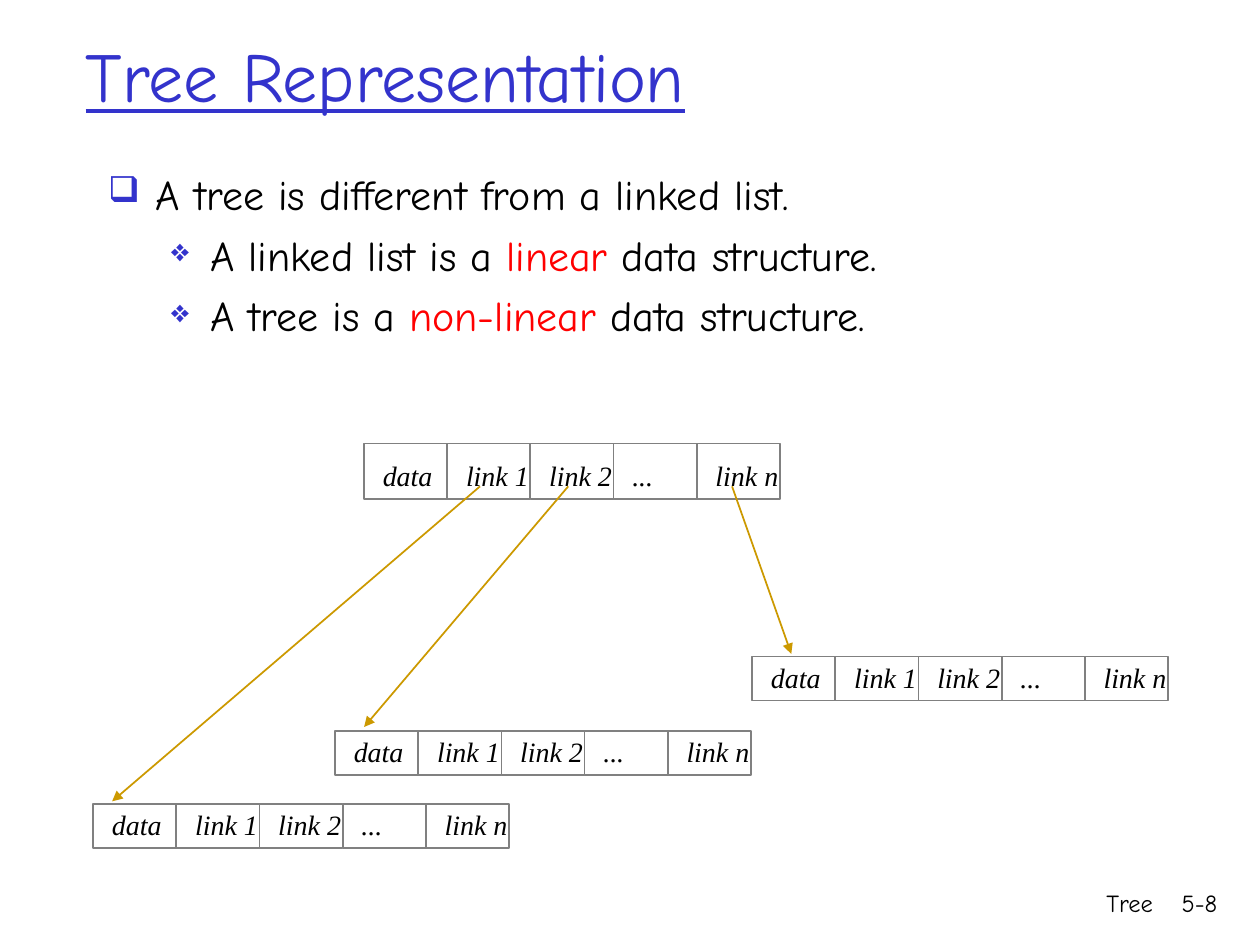
"""Build the slide that contrasts a tree with a linked list."""
from lxml import etree
from pptx import Presentation
from pptx.dml.color import RGBColor
from pptx.enum.shapes import MSO_CONNECTOR, MSO_SHAPE
from pptx.enum.text import MSO_ANCHOR, MSO_AUTO_SIZE, PP_ALIGN
from pptx.oxml.ns import qn
from pptx.util import Inches, Pt

RECT = MSO_SHAPE.RECTANGLE
LINE = MSO_CONNECTOR.STRAIGHT
MIDDLE = MSO_ANCHOR.MIDDLE
FIXED = MSO_AUTO_SIZE.NONE
LEFT, RIGHT = PP_ALIGN.LEFT, PP_ALIGN.RIGHT

BLUE = RGBColor(0x33, 0x33, 0xCC)
BLACK = RGBColor(0, 0, 0)
RED = RGBColor(0xFF, 0, 0)
GRAY = RGBColor(0x80, 0x80, 0x80)
GOLD = RGBColor(0xCC, 0x99, 0)
SANS, SERIF = "Comic Neue", "Times New Roman"

TITLE = "Tree Representation"
POINTS = [
    (0, [("A tree is different from a linked list.", BLACK)]),
    (1, [("A linked list is a ", BLACK), ("linear", RED), (" data structure.", BLACK)]),
    (1, [("A tree is a ", BLACK), ("non-linear", RED), (" data structure.", BLACK)]),
]
BULLETS = [("❑", 85, 0.38, 0.38), ("❖", 75, 0.81, 0.31)]
FOOT = [("Tree", 6.08, 3.17), ("5-8", 9.08, 0.68)]

FIELDS = [("data", 0.6), ("link 1", 0.71), ("link 2", 0.71), ("...", 0.37), ("link n", 0.71)]
NODES = [
    (2.89, 3.52, 0.44, 0.07),
    (0.74, 6.38, 0.35, -0.02),
    (2.66, 5.8, 0.35, -0.02),
    (5.97, 5.21, 0.35, -0.02),
]
CELL = 0.66
START = 3.86
ARROWS = [(3.81, 0.89, 6.36), (4.51, 2.89, 5.77), (5.81, 6.28, 5.19)]


def style(para, face, size, color=BLACK):
    font = para.font
    font.name, font.size = face, Pt(size)
    font.color.rgb = color


def add_text(slide, box, wrap=True):
    frame = slide.shapes.add_textbox(*map(Inches, box)).text_frame
    frame.word_wrap = wrap
    return frame


def add_bullet(para, level):
    mark, scale, margin, hang = BULLETS[level]
    props = para._p.get_or_add_pPr()
    props.set("marL", str(Inches(margin)))
    props.set("indent", str(-Inches(hang)))
    tint = etree.SubElement(props, qn("a:buClr"))
    etree.SubElement(tint, qn("a:srgbClr"), val=str(BLUE))
    etree.SubElement(props, qn("a:buSzPct"), val=str(scale * 1000))
    etree.SubElement(props, qn("a:buChar"), char=mark)


def add_title(slide):
    title = slide.shapes.title
    title.left, title.top, title.width, title.height = map(Inches, (0.58, 0.25, 8.5, 0.68))
    frame = title.text_frame
    frame.text = TITLE
    frame.auto_size = FIXED
    frame.vertical_anchor = MIDDLE
    para = frame.paragraphs[0]
    para.alignment = LEFT
    style(para, SANS, 40, BLUE)
    para.font.underline = True


def add_points(slide):
    frame = add_text(slide, (0.76, 1.29, 8.5, 1.63))
    for i, (level, runs) in enumerate(POINTS):
        para = frame.add_paragraph() if i else frame.paragraphs[0]
        para.level = level
        add_bullet(para, level)
        style(para, SANS, 24)
        if i:
            para.space_before = Pt(5.8)
        for text, color in runs:
            run = para.add_run()
            run.text = text
            run.font.color.rgb = color


def add_node(slide, left, top, height, drop):
    for i, (text, width) in enumerate(FIELDS):
        x = left + i * CELL
        cell = slide.shapes.add_shape(RECT, *map(Inches, (x, top, CELL, height)))
        cell.shadow.inherit = False
        cell.fill.background()
        cell.line.color.rgb = GRAY
        cell.line.width = Pt(1)
        frame = add_text(slide, (x + 0.05, top + drop, width, 0.37), False)
        frame.text = text
        para = frame.paragraphs[0]
        style(para, SERIF, 16)
        para.font.italic = True


def add_arrow(slide, x, end, y):
    arrow = slide.shapes.add_connector(LINE, *map(Inches, (x, START, end, y)))
    arrow.line.color.rgb = GOLD
    arrow.line.width = Pt(1)
    etree.SubElement(arrow.line._get_or_add_ln(), qn("a:tailEnd"), type="triangle")
    etree.SubElement(arrow._element.spPr, qn("a:effectLst"))


def main():
    deck = Presentation()
    deck.slide_width, deck.slide_height = Inches(10), Inches(7.5)
    slide = deck.slides.add_slide(deck.slide_layouts[5])
    for text, left, width in FOOT:
        frame = add_text(slide, (left, 7, width, 0.5))
        frame.text = text
        frame.paragraphs[0].alignment = RIGHT
        style(frame.paragraphs[0], SANS, 14)
    add_title(slide)
    add_points(slide)
    for node in NODES:
        add_node(slide, *node)
    for arrow in ARROWS:
        add_arrow(slide, *arrow)
    deck.save("out.pptx")


if __name__ == "__main__":
    main()
